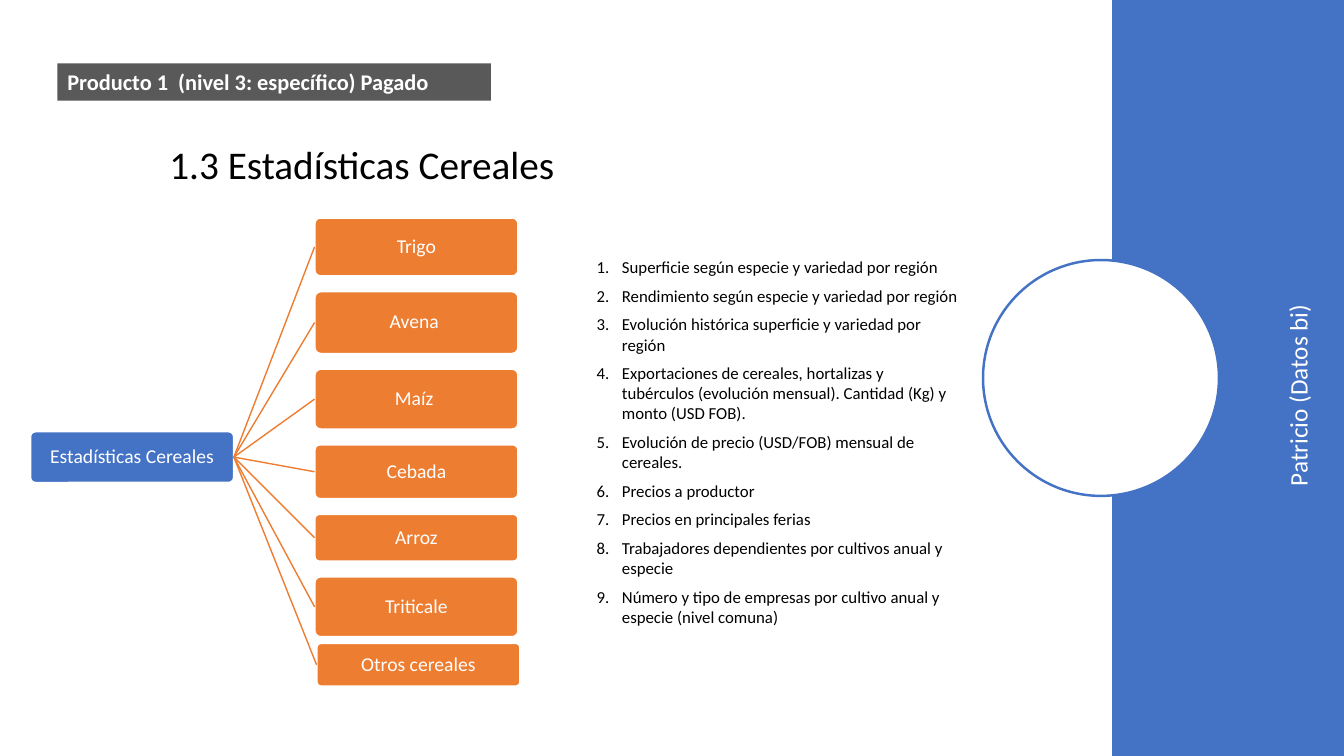
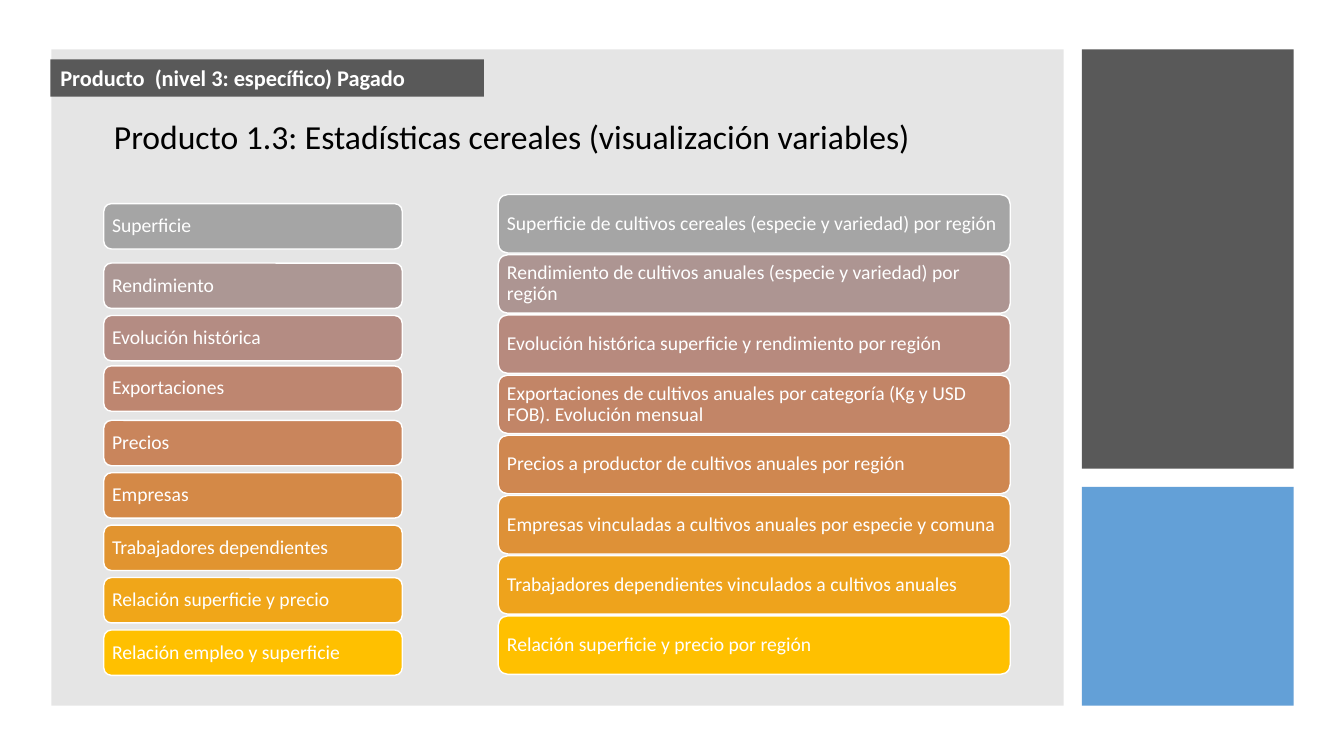
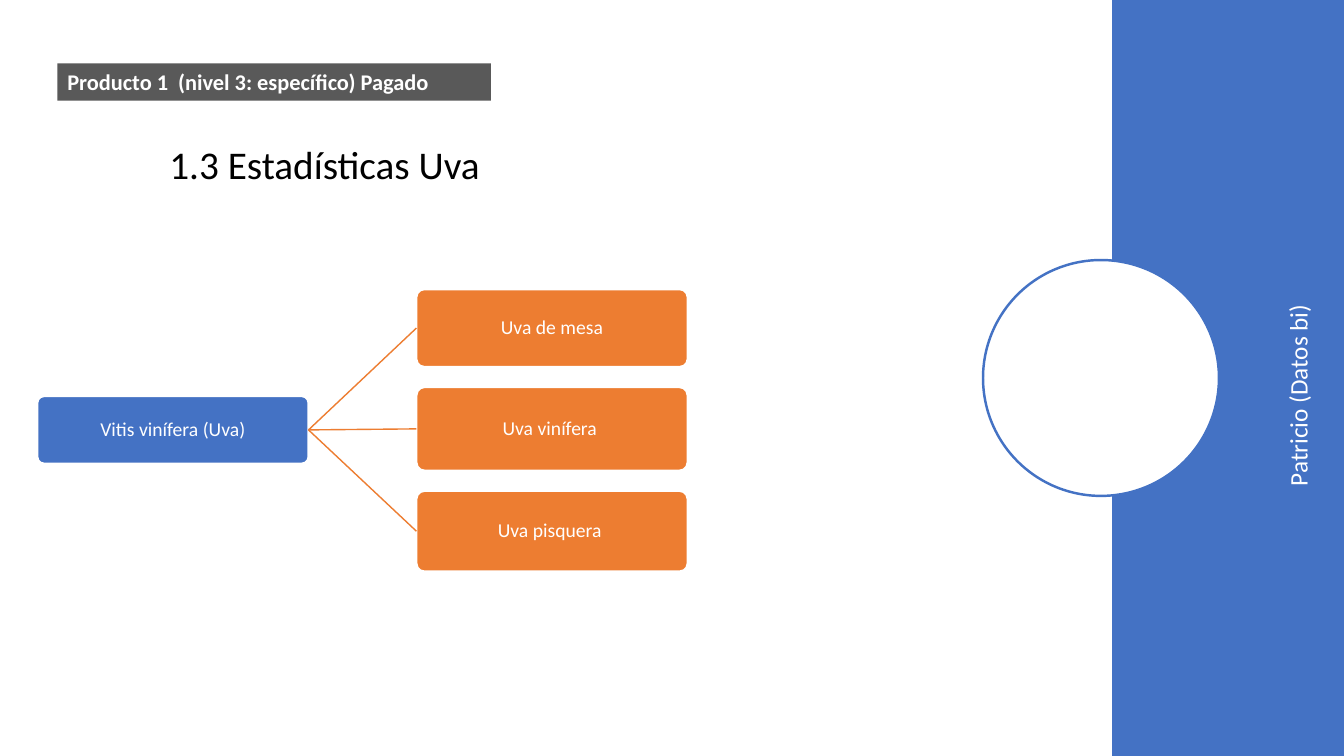
from colorsys import hls_to_rgb, rgb_to_hls
from dataclasses import dataclass

from lxml.etree import SubElement
from pptx import Presentation
from pptx.dml.color import RGBColor
from pptx.enum.shapes import MSO_CONNECTOR as Connector, MSO_SHAPE as Preset
from pptx.enum.text import MSO_ANCHOR as Anchor, MSO_AUTO_SIZE as AutoSize, PP_ALIGN as Align
from pptx.oxml.ns import qn
from pptx.util import Inches, Pt


@dataclass(frozen=True)
class Theme:
    font: str = "Calibri"
    blue: str = "4472C4"
    sky: str = "5B9BD5"
    orange: str = "ED7D31"
    charcoal: str = "595959"
    gray: str = "808080"
    silver: str = "A5A5A5"
    gold: str = "FFC000"
    white: str = "FFFFFF"
    black: str = "000000"
    title_size: int = 28
    subtitle_size: int = 24
    author_size: int = 18
    tag_size: int = 16
    box_size: int = 14
    list_size: int = 12


THEME = Theme()


@dataclass(frozen=True)
class Box:
    left: float
    top: float
    width: float
    height: float

    def emu(self):
        return [Inches(side) for side in (self.left, self.top, self.width, self.height)]


@dataclass(frozen=True)
class Branch:
    label: str
    height: float
    shift_x: float = 0
    shift_y: float = 0


@dataclass(frozen=True)
class Tree:
    root: str
    root_box: Box
    left: float
    top: float
    gap: float
    branches: tuple[Branch, ...]


@dataclass(frozen=True)
class Card:
    label: str
    shift_y: float = 0


@dataclass(frozen=True)
class CardColumn:
    first: Box
    last_top: float
    cards: tuple[Card, ...]


CEREALS = Tree("Estadísticas Cereales", Box(0.3, 4.28, 2.02, 0.51), 3.12, 2.16, 0.15, (
    Branch("Trigo", 0.58),
    Branch("Avena ", 0.62),
    Branch("Maíz ", 0.6),
    Branch("Cebada", 0.54),
    Branch("Arroz", 0.47),
    Branch("Triticale", 0.6),
    Branch("Otros cereales", 0.43, 0.02, -0.09),
))

GRAPES = Tree("Vitis vinífera (Uva)", Box(0.37, 3.93, 2.69, 0.67), 4.13, 2.87, 0.2, (
    Branch("Uva de mesa", 0.77),
    Branch("Uva vinífera ", 0.83),
    Branch("Uva pisquera ", 0.8),
))

CEREAL_REPORTS = (
    "Superficie según especie y variedad por región",
    "Rendimiento según especie y variedad por región",
    "Evolución histórica superficie y variedad por región",
    "Exportaciones de cereales, hortalizas y tubérculos (evolución mensual). "
    "Cantidad (Kg) y monto (USD FOB).",
    "Evolución de precio (USD/FOB) mensual de cereales.",
    "Precios a productor",
    "Precios en principales ferias",
    "Trabajadores dependientes por cultivos anual y especie",
    "Número y tipo de empresas por cultivo anual y especie (nivel comuna)",
)

DESCRIPTIONS = CardColumn(Box(4.94, 1.93, 5.08, 0.58), 6.11, (
    Card("Superficie de cultivos cereales (especie y variedad) por región"),
    Card("Rendimiento de cultivos anuales (especie y variedad) por región"),
    Card("Evolución histórica superficie y rendimiento por región"),
    Card("Exportaciones de cultivos anuales por categoría (Kg y USD FOB). Evolución mensual"),
    Card("Precios a productor de cultivos anuales por región"),
    Card("Empresas vinculadas a cultivos anuales por especie y comuna"),
    Card("Trabajadores dependientes vinculados a cultivos anuales"),
    Card("Relación superficie y precio por región"),
))

VARIABLES = CardColumn(Box(1.03, 2.09, 2.96, 0.45), 6.25, (
    Card("Superficie", -0.07),
    Card("Rendimiento"),
    Card("Evolución histórica"),
    Card("Exportaciones", -0.02),
    Card("Precios"),
    Card("Empresas"),
    Card("Trabajadores dependientes"),
    Card("Relación superficie y precio"),
    Card("Relación empleo y superficie"),
))


def rgb(color: str) -> RGBColor:
    return RGBColor.from_string(color)


def blend_hls(start: str, end: str, share: float) -> str:
    """Mix two colours by hue, lightness and saturation; a gray start has hue 0."""
    first, last = (rgb_to_hls(*(part / 255 for part in rgb(color))) for color in (start, end))
    mixed = hls_to_rgb(*(a + (b - a) * share for a, b in zip(first, last)))
    return "".join(f"{round(part * 255):02X}" for part in mixed)


def add_block(slide, preset, box: Box, fill: str, line: str | None = None,
              line_width: float = 1, opacity: int = 100):
    block = slide.shapes.add_shape(preset, *box.emu())
    block.shadow.inherit = False
    block.fill.solid()
    block.fill.fore_color.rgb = rgb(fill)
    if opacity < 100:
        color = block.fill._xPr.find(f"{qn('a:solidFill')}/{qn('a:srgbClr')}")
        SubElement(color, qn("a:alpha"), val=str(opacity * 1000))
    if line:
        block.line.color.rgb = rgb(line)
        block.line.width = Pt(line_width)
    else:
        block.line.fill.background()
    return block


def write(shape, lines: tuple[str, ...], size: int, color: str = THEME.white, bold: bool = False,
          align=Align.LEFT, anchor=Anchor.TOP, spacing: float = 1, after: float = 0,
          inset: float | None = None):
    frame = shape.text_frame
    frame.word_wrap = True
    frame.auto_size = AutoSize.NONE
    frame.vertical_anchor = anchor
    if inset is not None:
        frame.margin_left = frame.margin_right = Inches(inset)
        frame.margin_top = frame.margin_bottom = Inches(inset)
    frame.text = "\n".join(lines)
    for paragraph in frame.paragraphs:
        paragraph.alignment = align
        paragraph.line_spacing = spacing
        paragraph.space_after = Pt(after)
        font = paragraph.font
        font.name, font.size, font.bold = THEME.font, Pt(size), bold
        font.color.rgb = rgb(color)
    return frame


def set_title(slide, text: str, box: Box, size: int, **style):
    title = slide.shapes.title
    title.left, title.top, title.width, title.height = box.emu()
    write(title, (text,), size, THEME.black, **style)


def add_tag(slide, text: str, left: float, top: float):
    tag = add_block(slide, Preset.RECTANGLE, Box(left, top, 4.3, 0.37), THEME.charcoal)
    write(tag, (text,), THEME.tag_size, bold=True)


def add_numbered_list(slide, items: tuple[str, ...], box: Box):
    reports = slide.shapes.add_textbox(*box.emu())
    frame = write(reports, items, THEME.list_size, THEME.black, after=6)
    for paragraph in frame.paragraphs:
        properties = paragraph._p.get_or_add_pPr()
        properties.set("marL", str(Inches(0.25)))
        properties.set("indent", str(-Inches(0.25)))
        numbering = SubElement(properties, qn("a:buAutoNum"), type="arabicPeriod")
        properties.find(qn("a:defRPr")).addprevious(numbering)


def add_node(slide, label: str, box: Box, fill: str):
    node = add_block(slide, Preset.ROUNDED_RECTANGLE, box, fill, THEME.white, 1.5)
    node.adjustments[0] = 0.1
    write(node, (label,), THEME.box_size, align=Align.CENTER, anchor=Anchor.MIDDLE,
          spacing=0.9, inset=0.01)
    return node


def link(slide, parent, child):
    """Join the right side of the parent to the left side of the child."""
    branch_line = slide.shapes.add_connector(Connector.STRAIGHT, 0, 0, 0, 0)
    branch_line.begin_connect(parent, 3)
    branch_line.end_connect(child, 1)
    branch_line.line.color.rgb = rgb(THEME.orange)
    branch_line.line.width = Pt(1)
    SubElement(branch_line._element.spPr, qn("a:effectLst"))


def add_tree(slide, tree: Tree):
    root = add_node(slide, tree.root, tree.root_box, THEME.blue)
    top = tree.top
    for branch in tree.branches:
        box = Box(tree.left + branch.shift_x, top + branch.shift_y,
                  tree.root_box.width, branch.height)
        link(slide, root, add_node(slide, branch.label, box, THEME.orange))
        top += branch.height + tree.gap


def add_cards(slide, column: CardColumn):
    """Stack cards evenly, fading from silver to gold."""
    first, steps = column.first, len(column.cards) - 1
    for index, card in enumerate(column.cards):
        share = index / steps
        top = first.top + (column.last_top - first.top) * share + card.shift_y
        block = add_block(slide, Preset.ROUNDED_RECTANGLE,
                          Box(first.left, top, first.width, first.height),
                          blend_hls(THEME.silver, THEME.gold, share), THEME.white)
        write(block, (card.label,), THEME.box_size, anchor=Anchor.MIDDLE, spacing=0.9, inset=0.06)


def add_title_slide(deck):
    return deck.slides.add_slide(deck.slide_layouts.get_by_name("Title Only"))


def build_tree_slide(deck, title: str, tree: Tree, reports: tuple[str, ...] = ()):
    slide = add_title_slide(deck)
    set_title(slide, title, Box(1.58, 0.93, 8.17, 1.45), THEME.title_size,
              anchor=Anchor.MIDDLE, spacing=0.9)
    if reports:
        add_numbered_list(slide, reports, Box(5.82, 2.5, 3.79, 4.06))
    add_block(slide, Preset.RECTANGLE, Box(11.03, 0, 2.3, 7.5), THEME.blue)
    add_block(slide, Preset.OVAL, Box(9.75, 2.58, 2.34, 2.34), THEME.white, THEME.blue, 1.75)
    add_tag(slide, "Producto 1  (nivel 3: específico) Pagado", 0.57, 0.63)
    author = slide.shapes.add_textbox(*Box(11.41, 3.26, 2.92, 0.4).emu())
    author.rotation = 270
    write(author, ("Patricio (Datos bi)",), THEME.author_size)
    add_tree(slide, tree)


def build_variables_slide(deck):
    slide = add_title_slide(deck)
    panel = add_block(slide, Preset.RECTANGLE, Box(0.51, 0.49, 10.04, 6.51), THEME.gray, opacity=20)
    slide.shapes.title._element.addprevious(panel._element)
    add_block(slide, Preset.RECTANGLE, Box(10.73, 0.49, 2.1, 4.16), THEME.charcoal)
    add_block(slide, Preset.RECTANGLE, Box(10.73, 4.83, 2.1, 2.17), THEME.sky, opacity=95)
    set_title(slide, "Producto 1.3: Estadísticas cereales (visualización variables)",
              Box(1.03, 1.1, 9.52, 0.5), THEME.subtitle_size)
    add_cards(slide, DESCRIPTIONS)
    add_cards(slide, VARIABLES)
    add_tag(slide, "Producto  (nivel 3: específico) Pagado", 0.5, 0.59)


def main():
    deck = Presentation()
    deck.slide_width, deck.slide_height = Inches(13.33), Inches(7.5)
    build_tree_slide(deck, "1.3 Estadísticas Cereales", CEREALS, CEREAL_REPORTS)
    build_variables_slide(deck)
    build_tree_slide(deck, "1.3 Estadísticas Uva", GRAPES)
    deck.save("out.pptx")


if __name__ == "__main__":
    main()
